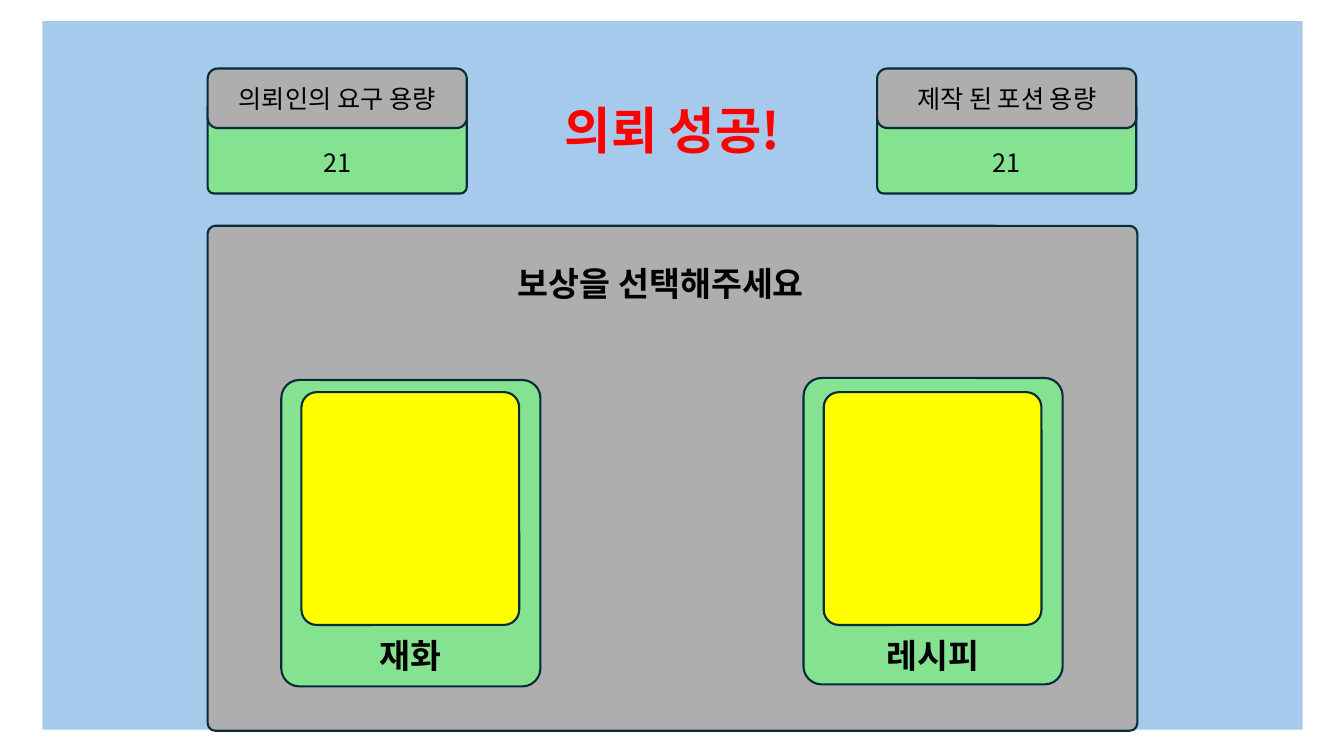
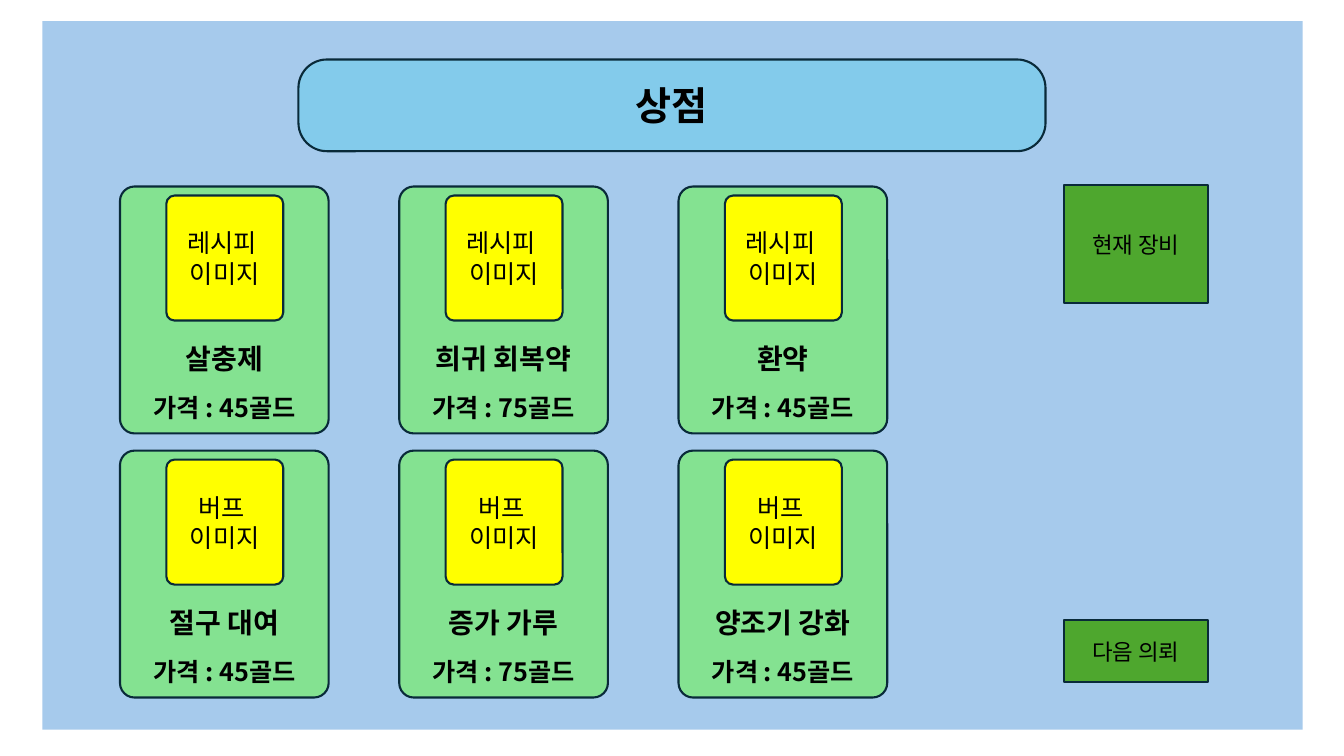
from pptx import Presentation
from pptx.dml.color import RGBColor
from pptx.enum.shapes import MSO_SHAPE
from pptx.enum.text import MSO_ANCHOR, MSO_AUTO_SIZE, PP_ALIGN
from pptx.oxml.ns import qn
from pptx.util import Inches, Pt
from lxml.etree import SubElement

# Shared style
FONT = "Noto Sans CJK KR"
COLORS = {
    "sky": "A6CAEC", "banner": "83CBEB", "mint": "84E291", "gray": "AEAEAE",
    "yellow": "FFFF00", "button": "4EA72E", "outline": "092A39",
    "black": "000000", "red": "FF0000",
}
CORNER = 0.07

# Reward page: content and places (left, top, width, height)
RESULT_TITLE = "의뢰 성공!"
REWARD_PROMPT = "보상을 선택해주세요"
VOLUMES = [("의뢰인의 요구 용량", "21", 2.06), ("제작 된 포션 용량", "21", 8.7)]
REWARDS = [("재화", 2.79, 3.77), ("레시피", 7.97, 3.75)]

# Shop page: one list of (name, price) per row of cards
SHOP_TITLE = "상점"
SHOP_ROWS = [
    ("레시피 ", [("살충제", 45), ("희귀 회복약", 75), ("환약", 45)]),
    ("버프 ", [("절구 대여", 45), ("증가 가루", 75), ("양조기 강화", 45)]),
]
BUTTONS = [("현재 장비", 1.84, 1.17), ("다음 의뢰", 6.15, 0.62)]
CARD_LEFT, CARD_TOP = 1.19, 1.85
CARD_WIDTH, CARD_HEIGHT = 2.07, 2.45
COLUMN_STEP, ROW_STEP = 2.77, 2.62


def color(name):
    return RGBColor.from_string(COLORS[name])


def write(shape, lines, size, bold=False, tint="black", wrap=True, spacing=None):
    frame = shape.text_frame
    frame.word_wrap = wrap
    frame.auto_size = MSO_AUTO_SIZE.NONE
    frame.vertical_anchor = MSO_ANCHOR.MIDDLE
    for index, line in enumerate(lines):
        para = frame.add_paragraph() if index else frame.paragraphs[0]
        para.alignment = PP_ALIGN.CENTER
        if spacing:
            para.line_spacing = Pt(spacing)
        span = para.add_run()
        span.text = line
        span.font.name = FONT
        span.font.size = Pt(size)
        span.font.bold = bold
        span.font.color.rgb = color(tint)
        # Hangul takes the East Asian typeface
        SubElement(span.font._element, qn("a:ea"), typeface=FONT)


def add_box(shapes, place, fill, corner=CORNER, outlined=True):
    kind = MSO_SHAPE.ROUNDED_RECTANGLE if corner else MSO_SHAPE.RECTANGLE
    box = shapes.add_shape(kind, *map(Inches, place))
    if corner:
        box.adjustments[0] = corner
    box.shadow.inherit = False
    box.fill.solid()
    box.fill.fore_color.rgb = color(fill)
    if outlined:
        box.line.color.rgb = color("outline")
        box.line.width = Pt(1.5)
    else:
        box.line.fill.background()
    return box


def add_label(shapes, place, text, size):
    label = shapes.add_textbox(*map(Inches, place))
    write(label, [text], size, bold=True, wrap=False)


def add_page(deck):
    page = deck.slides.add_slide(deck.slide_layouts.get_by_name("Title Only"))
    add_box(page.shapes, (0.42, 0.21, 12.5, 7.03), "sky", corner=0, outlined=False)
    return page


def place_title(page, place, text, size, tint="black"):
    title = page.shapes.title
    title.left, title.top, title.width, title.height = map(Inches, place)
    write(title, [text], size, bold=True, tint=tint)
    # Bring the title in front of the panel
    page.shapes._spTree.append(title._element)


def add_volume(page, caption, value, left):
    shapes = page.shapes.add_group_shape().shapes
    body = add_box(shapes, (left, 1, 2.57, 0.92), "mint")
    write(body, [value], 18)
    body.text_frame.margin_top = Inches(0.35)
    header = add_box(shapes, (left, 0.68, 2.57, 0.59), "gray", corner=0.17)
    write(header, [caption], 18)


def add_reward(page, name, left, top):
    add_box(page.shapes, (left, top, 2.57, 3.04), "mint")
    add_box(page.shapes, (left + 0.2, 3.89, 2.16, 2.31), "yellow")
    add_label(page.shapes, (left, 6.25, 2.57, 0.5), name, 24)


def add_card(page, left, top, kind, name, price):
    shapes = page.shapes.add_group_shape().shapes
    add_box(shapes, (left, top, CARD_WIDTH, CARD_HEIGHT), "mint")
    tile = add_box(shapes, (left + 0.46, top + 0.09, 1.16, 1.24), "yellow")
    write(tile, [kind, "이미지"], 18, spacing=21.5)
    add_label(shapes, (left, top + 1.48, CARD_WIDTH, 0.44), name, 20)
    add_label(shapes, (left, top + 1.99, CARD_WIDTH, 0.4), f"가격 : {price}골드", 18)


def build_reward_page(deck):
    page = add_page(deck)
    for caption, value, left in VOLUMES:
        add_volume(page, caption, value, left)
    add_box(page.shapes, (2.06, 2.24, 9.22, 5.01), "gray", corner=0.015)
    add_label(page.shapes, (4.88, 2.56, 3.35, 0.5), REWARD_PROMPT, 24)
    for name, left, top in REWARDS:
        add_reward(page, name, left, top)
    place_title(page, (5.2, 0.93, 2.94, 0.71), RESULT_TITLE, 36, "red")


def build_shop_page(deck):
    page = add_page(deck)
    banner = (2.96, 0.59, 7.41, 0.91)
    add_box(page.shapes, banner, "banner", corner=0.31)
    place_title(page, banner, SHOP_TITLE, 28)
    for row, (kind, items) in enumerate(SHOP_ROWS):
        for column, (name, price) in enumerate(items):
            left = CARD_LEFT + column * COLUMN_STEP
            add_card(page, left, CARD_TOP + row * ROW_STEP, kind, name, price)
    for text, top, height in BUTTONS:
        button = add_box(page.shapes, (10.55, top, 1.43, height), "button", corner=0)
        write(button, [text], 16)


def main():
    deck = Presentation()
    deck.slide_width, deck.slide_height = Inches(13.33), Inches(7.5)
    build_reward_page(deck)
    build_shop_page(deck)
    deck.save("out.pptx")


if __name__ == "__main__":
    main()
